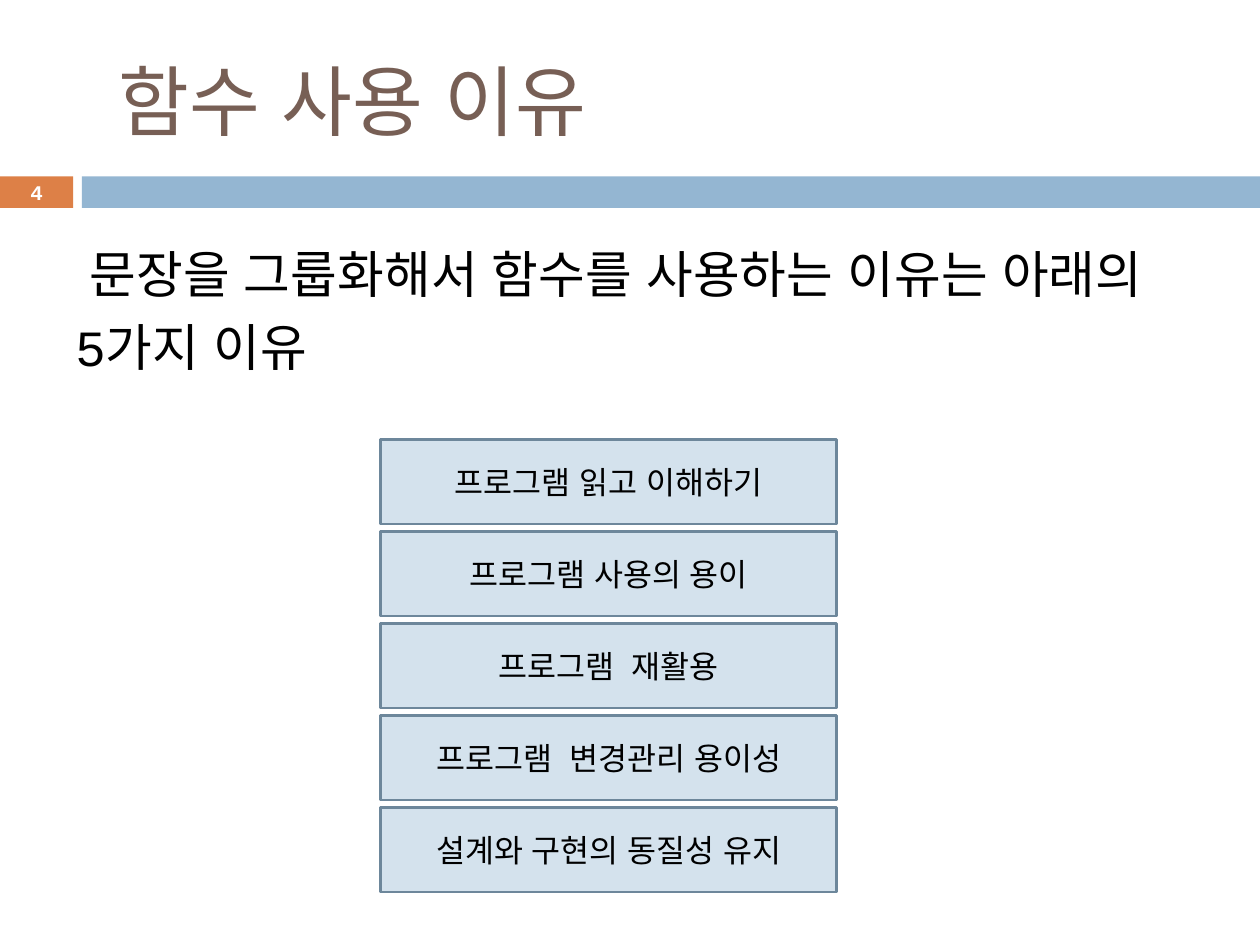
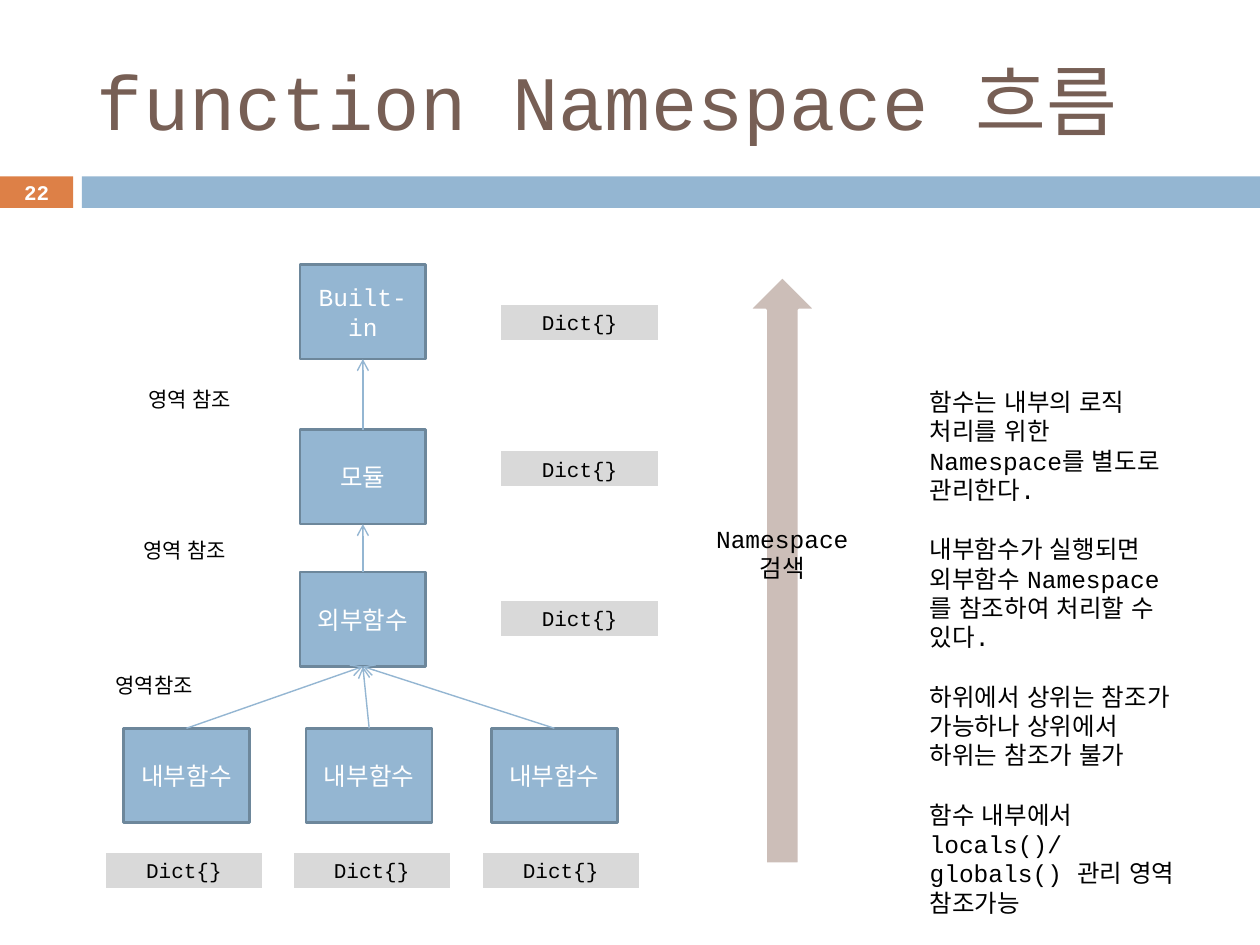
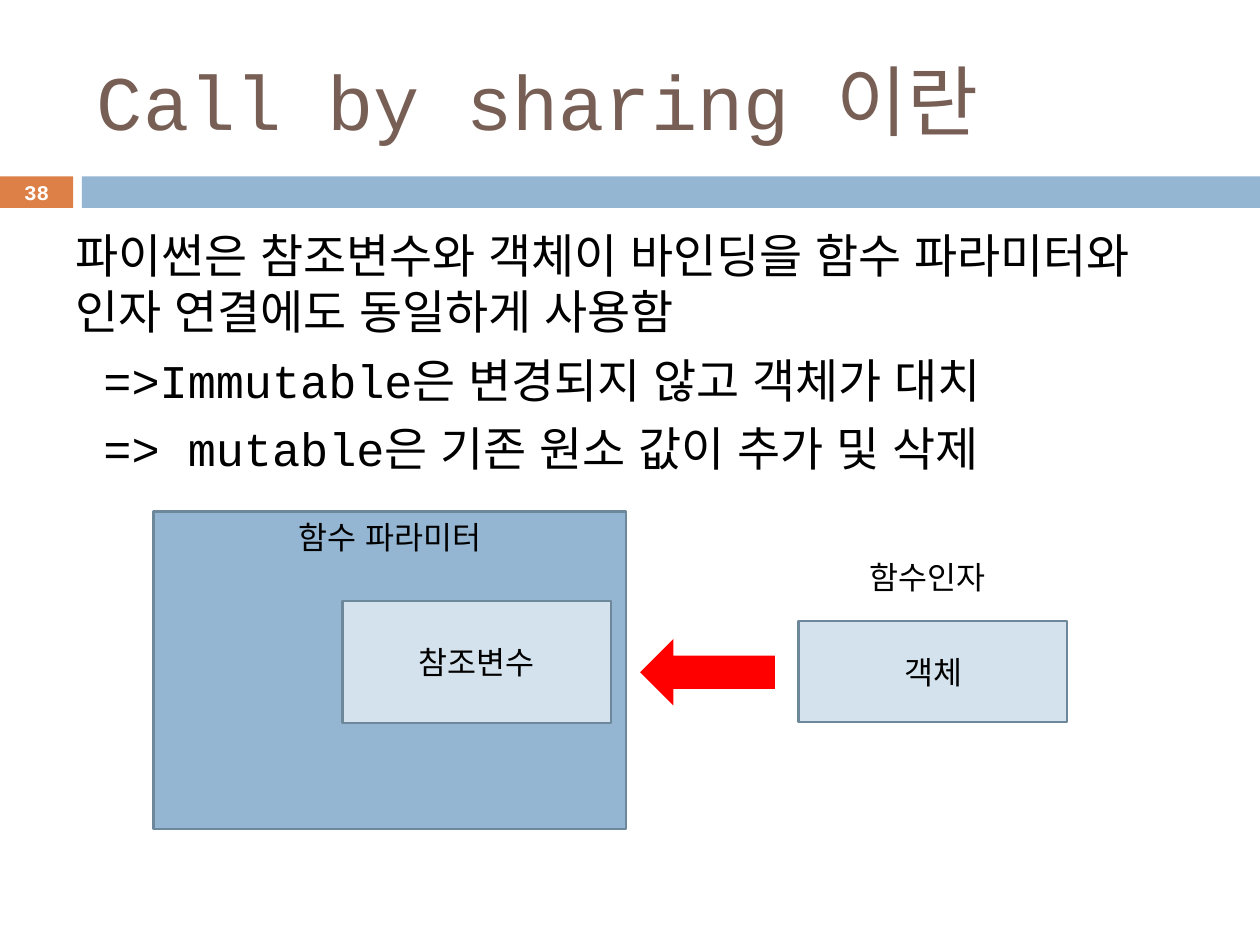
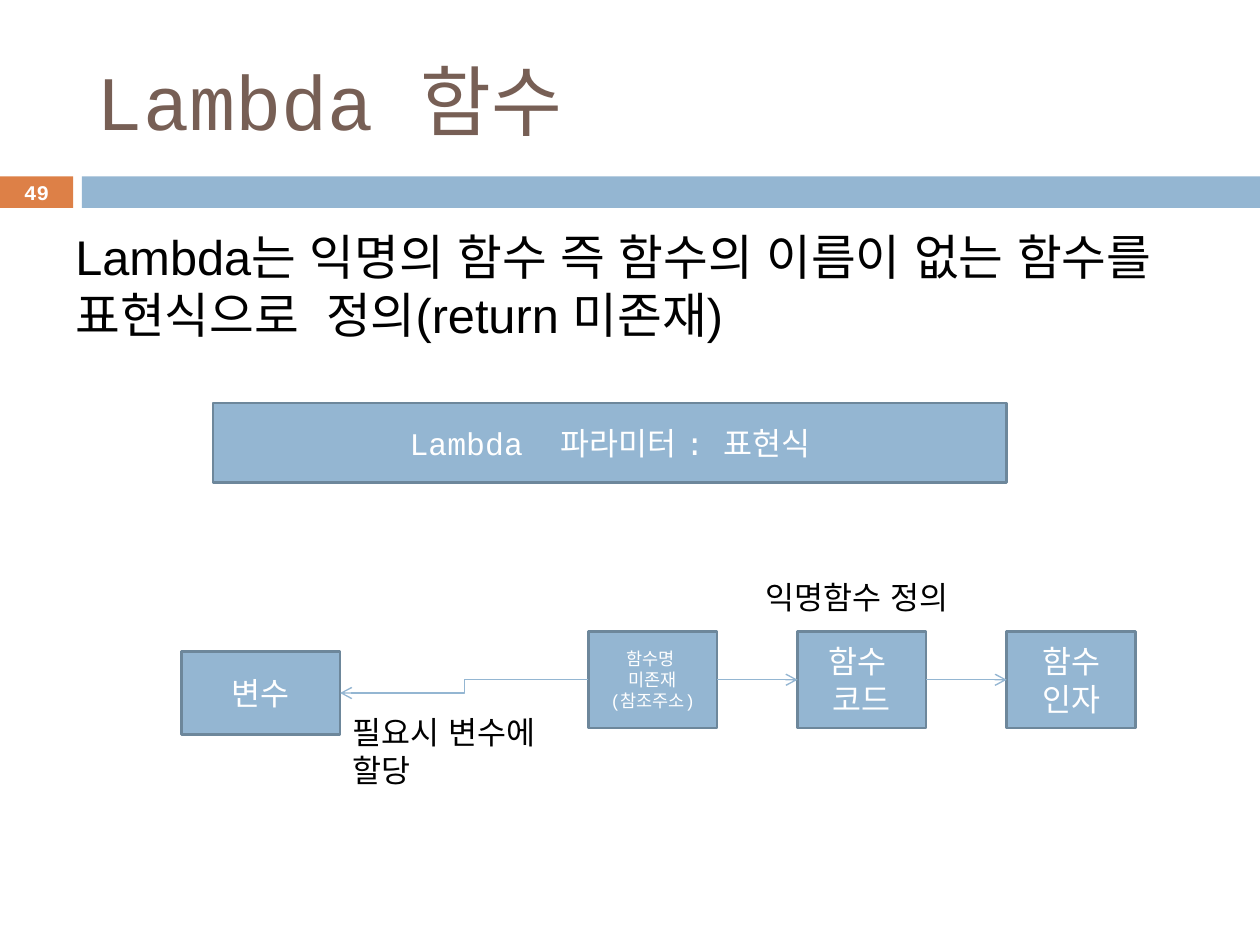
from lxml.etree import SubElement
from pptx import Presentation
from pptx.dml.color import RGBColor
from pptx.enum.shapes import MSO_CONNECTOR, MSO_SHAPE
from pptx.enum.text import MSO_ANCHOR, PP_ALIGN
from pptx.oxml.ns import qn
from pptx.util import Emu, Pt

PX = 9144
TOP, LEFT, BOTTOM, RIGHT = range(4)


def color(value):
    return RGBColor.from_string(value)


def write(frame, text, size=18, ink="000000", font="Courier New", bold=False,
          align=PP_ALIGN.CENTER, anchor=MSO_ANCHOR.MIDDLE,
          before=0, after=0, spacing=1.0):
    frame.word_wrap = True
    frame.vertical_anchor = anchor
    for index, line in enumerate(text.split("\n")):
        para = frame.add_paragraph() if index else frame.paragraphs[0]
        para.text = line
        para.alignment = align
        para.space_before = Pt(before)
        para.space_after = Pt(after)
        para.line_spacing = spacing
        for span in para.runs:
            span.font.size = Pt(size)
            span.font.name = font
            span.font.bold = bold
            span.font.color.rgb = color(ink)
            SubElement(span.font._element, qn("a:ea"), typeface="Arial")


class Deck:
    BLUE = "94B6D2"
    PALE = "D4E2ED"
    EDGE = "6D879B"
    ORANGE = "DD8047"
    BROWN = "775F55"
    TAUPE = "CCBEB8"
    GRAY = "D9D9D9"
    RED = "FF0000"
    WHITE = "FFFFFF"

    def __init__(self):
        self.file = Presentation()
        self.file.slide_width = Emu(1000 * PX)
        self.file.slide_height = Emu(750 * PX)
        self.page = None

    def start_page(self, title, number):
        self.page = self.file.slides.add_slide(self.file.slide_layouts[6])
        self.shape(0, 140, 58, 25, fill=self.ORANGE, edge=None)
        self.shape(65, 140, 935, 25, edge=None)
        self.text(67, 25, 892, 108, title, size=44, ink=self.BROWN,
                  align=PP_ALIGN.LEFT, anchor=MSO_ANCHOR.MIDDLE)
        self.text(0, 139, 58, 27, str(number), size=11.9, ink=self.WHITE,
                  bold=True, anchor=MSO_ANCHOR.MIDDLE)

    def text(self, left, top, width, height, text, anchor=MSO_ANCHOR.TOP, **style):
        box = self.page.shapes.add_textbox(
            *(Emu(n * PX) for n in (left, top, width, height)))
        write(box.text_frame, text, anchor=anchor, **style)

    def body(self, top, height, text, **style):
        self.text(50, top, 900, height, text, align=PP_ALIGN.LEFT, before=7, **style)

    def shape(self, left, top, width, height, text="", fill=BLUE, edge=EDGE,
              kind=MSO_SHAPE.RECTANGLE, turn=0, **style):
        box = self.page.shapes.add_shape(
            kind, *(Emu(n * PX) for n in (left, top, width, height)))
        box.shadow.inherit = False
        box.rotation = turn
        box.fill.solid()
        box.fill.fore_color.rgb = color(fill)
        if edge:
            box.line.color.rgb = color(edge)
            box.line.width = Pt(1.5)
        else:
            box.line.fill.background()
        if text:
            write(box.text_frame, text, **style)
        return box

    def arrow(self, source, source_side, target, target_side,
              kind=MSO_CONNECTOR.STRAIGHT):
        line = self.page.shapes.add_connector(kind, 0, 0, 0, 0)
        line.begin_connect(source, source_side)
        line.end_connect(target, target_side)
        line.line.color.rgb = color(self.BLUE)
        line.line.width = Pt(0.79)
        SubElement(line.line._get_or_add_ln(), qn("a:tailEnd"), type="arrow")
        SubElement(line._element.spPr, qn("a:effectLst"))


def reasons_page(deck):
    deck.start_page(" 함수 사용 이유", 4)
    deck.body(178, 134, " 문장을 그룹화해서 함수를 사용하는 이유는 아래의 5가지 이유",
              size=29, spacing=1.2)
    reasons = ["프로그램 읽고 이해하기", "프로그램 사용의 용이", "프로그램  재활용",
               "프로그램  변경관리 용이성", "설계와 구현의 동질성 유지"]
    for row, reason in enumerate(reasons):
        deck.shape(302, 349 + 73 * row, 362, 67, reason, fill=deck.PALE)


def namespace_page(deck):
    deck.start_page("function Namespace 흐름", 22)
    deck.shape(388, 426, 466, 53, fill=deck.TAUPE, edge=deck.WHITE,
               kind=MSO_SHAPE.RIGHT_ARROW, turn=270)
    deck.text(546, 411, 150, 57, "Namespace\n 검색 ", size=14)
    deck.text(728, 302, 220, 387,
              "함수는 내부의 로직 처리를 위한 Namespace를 별도로 관리한다.\n"
              "내부함수가 실행되면 외부함수 Namespace를 참조하여 처리할 수 있다.\n"
              "하위에서 상위는 참조가 가능하나 상위에서 하위는 참조가 불가\n"
              "함수 내부에서 locals()/\vglobals() 관리 영역 참조가능",
              size=14, align=PP_ALIGN.LEFT, after=17)

    def scope(left, top, name):
        return deck.shape(left, top, 100, 75, name, size=14, ink=deck.WHITE)

    builtin = scope(238, 210, "Built-in")
    module = scope(238, 341, "모듈")
    outer = scope(238, 454, "외부함수")
    deck.arrow(module, TOP, builtin, BOTTOM)
    deck.arrow(outer, TOP, module, BOTTOM)
    for left in (98, 243, 390):
        deck.arrow(scope(left, 578, "내부함수"), TOP, outer, BOTTOM)

    for left, top in ((397, 241), (397, 357), (397, 476),
                      (83, 676), (232, 676), (382, 676)):
        deck.shape(left, top, 126, 30, "Dict{}", fill=deck.GRAY,
                   edge=deck.WHITE, size=12)
    for left, top, label in ((79, 302, "영역 참조"), (75, 422, "영역 참조"),
                             (51, 529, "영역참조")):
        deck.text(left, top, 143, 23, label, size=12)


def sharing_page(deck):
    deck.start_page("Call by sharing 이란", 38)
    deck.body(175, 200,
              "파이썬은 참조변수와 객체이 바인딩을 함수 파라미터와 인자 연결에도 동일하게 사용함\n"
              " =>Immutable은 변경되지 않고 객체가 대치\n"
              " => mutable은 기존 원소 값이 추가 및 삭제", size=26.8)
    deck.shape(122, 406, 375, 252, "함수 파라미터", anchor=MSO_ANCHOR.TOP)
    deck.shape(272, 477, 213, 97, "참조변수", fill=deck.PALE)
    deck.shape(634, 493, 213, 80, "객체", fill=deck.PALE)
    deck.shape(508, 507, 107, 53, fill=deck.RED, edge=None,
               kind=MSO_SHAPE.RIGHT_ARROW, turn=180)
    deck.text(626, 438, 220, 40, "함수인자")


def lambda_page(deck):
    deck.start_page("Lambda 함수", 49)
    deck.body(175, 106,
              "Lambda는 익명의 함수 즉 함수의 이름이 없는 함수를 표현식으로  정의(return 미존재)",
              size=27.8, font="Arial")
    deck.shape(169, 320, 630, 63, "Lambda  파라미터 : 표현식", ink=deck.WHITE)
    parts = [("함수명 \n미존재\n(참조주소)", 10), ("함수 \n코드", 18), ("함수\n인자", 18)]
    name, code, argument = [
        deck.shape(467 + 166 * column, 501, 102, 77, text, size=size, ink=deck.WHITE)
        for column, (text, size) in enumerate(parts)]
    variable = deck.shape(144, 517, 126, 66, "변수", ink=deck.WHITE)
    deck.arrow(name, RIGHT, code, LEFT)
    deck.arrow(code, RIGHT, argument, LEFT)
    deck.arrow(name, LEFT, variable, RIGHT, kind=MSO_CONNECTOR.ELBOW)
    deck.text(503, 454, 354, 28, "익명함수 정의")
    deck.text(270, 561, 197, 59, "필요시 변수에 할당", align=PP_ALIGN.LEFT)


def main():
    deck = Deck()
    for build in (reasons_page, namespace_page, sharing_page, lambda_page):
        build(deck)
    deck.file.save("out.pptx")


if __name__ == "__main__":
    main()
